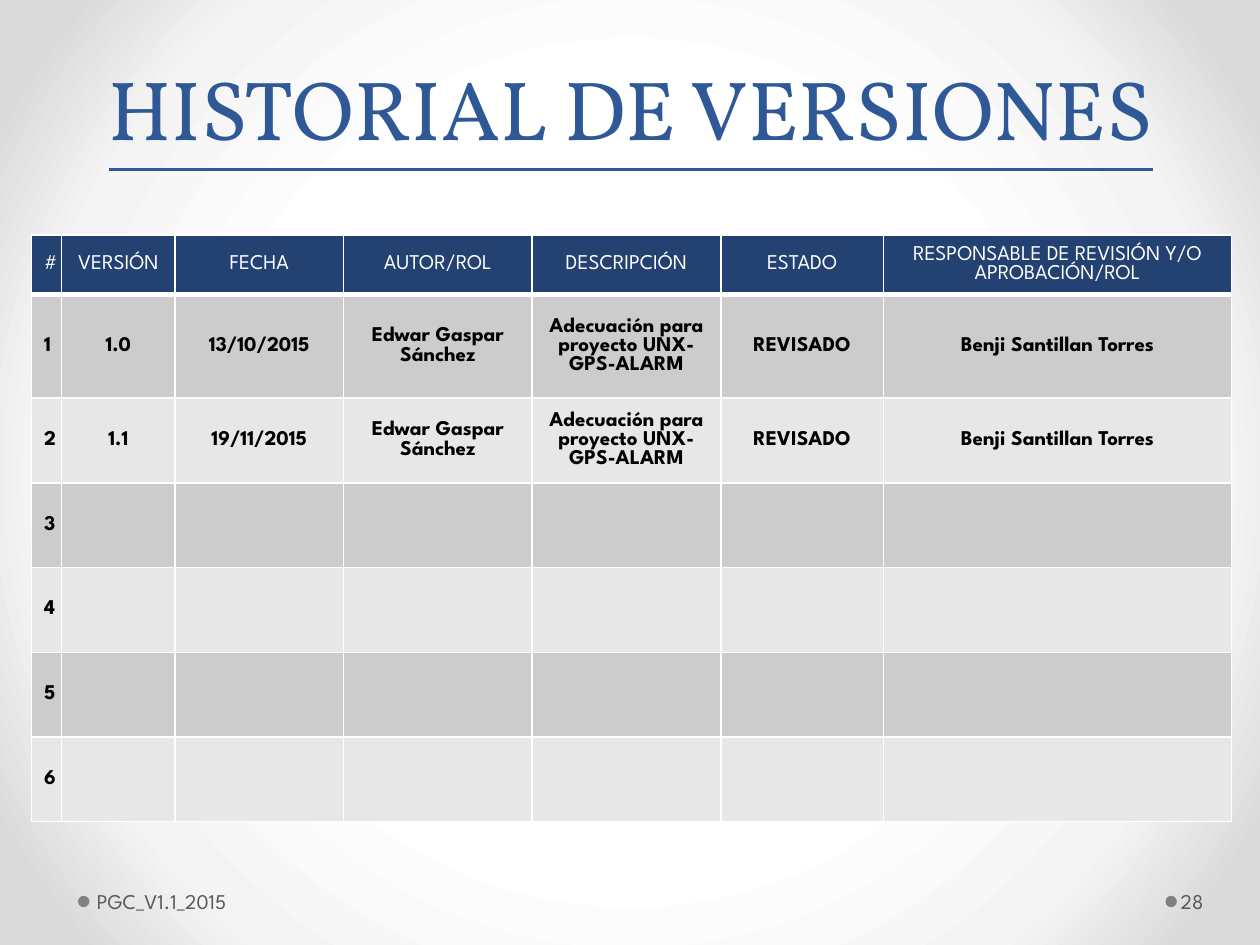
from dataclasses import dataclass

import lxml.etree
import pptx
import pptx.dml.color
import pptx.enum.shapes
import pptx.enum.text
import pptx.oxml
import pptx.oxml.ns
import pptx.util

Pt = pptx.util.Pt
ALIGN = pptx.enum.text.PP_ALIGN
MIDDLE = pptx.enum.text.MSO_ANCHOR.MIDDLE


@dataclass(frozen=True)
class Theme:
    title_font: str = "Vollkorn"
    body_font: str = "League Spartan"
    title_size: float = 48
    body_size: float = 12
    title: str = "2F5897"
    header: str = "234271"
    bands: tuple = ("CCCCCC", "E7E7E7")
    white: str = "FFFFFF"
    black: str = "000000"
    footer: str = "595959"
    dot: str = "808080"
    background: tuple = ((50, "FFFFFF"), (76, "F4F4F4"), (92, "DADADA"))


THEME = Theme()

HEADERS = ["#", "VERSIÓN", "FECHA", "AUTOR/ROL", "DESCRIPCIÓN", "ESTADO",
           "RESPONSABLE DE REVISIÓN Y/O APROBACIÓN/ROL"]
VERSIONS = [("1.0", "13/10/2015"), ("1.1", "19/11/2015")]
AUTHOR = "Edwar Gaspar Sánchez"
DESCRIPTION = "Adecuación para proyecto UNX-GPS-ALARM"
STATUS = "REVISADO"
REVIEWER = "Benji Santillan Torres"
ENTRY_COUNT = 6

COLUMN_WIDTHS = [16.9, 64.8, 96.3, 107.8, 107.8, 93, 199]
ROW_HEIGHTS = [34.2, 59.2] + [48.4] * (ENTRY_COUNT - 1)


def rgb(color):
    return pptx.dml.color.RGBColor.from_string(color)


def format_paragraph(paragraph, color, font=THEME.body_font, size=THEME.body_size,
                     bold=False, align=ALIGN.LEFT):
    paragraph.alignment = align
    paragraph.font.name = font
    paragraph.font.size = Pt(size)
    paragraph.font.bold = bold
    paragraph.font.color.rgb = rgb(color)


def set_background(slide):
    """Radial gradient, light in the middle."""
    slide.background.fill.solid()
    properties = slide.element.find(".//" + pptx.oxml.ns.qn("p:bgPr"))
    stops = "".join(
        f'<a:gs pos="{position * 1000}"><a:srgbClr val="{color}"/></a:gs>'
        for position, color in THEME.background)
    gradient = pptx.oxml.parse_xml(
        f'<a:gradFill {pptx.oxml.ns.nsdecls("a")} rotWithShape="1">'
        f'<a:gsLst>{stops}</a:gsLst><a:path path="circle">'
        '<a:fillToRect l="50000" t="50000" r="50000" b="50000"/>'
        '</a:path></a:gradFill>')
    properties.replace(properties[0], gradient)


def add_dot(slide, left):
    dot = slide.shapes.add_shape(pptx.enum.shapes.MSO_SHAPE.OVAL,
                                 Pt(left), Pt(511.9), Pt(6.5), Pt(6.5))
    dot.shadow.inherit = False
    dot.fill.solid()
    dot.fill.fore_color.rgb = rgb(THEME.dot)
    dot.line.fill.background()


def add_footer_text(slide, text, left, width, margin_left, margin_right):
    box = slide.shapes.add_textbox(Pt(left), Pt(500.4), Pt(width), Pt(28.8))
    frame = box.text_frame
    frame.word_wrap = True
    frame.vertical_anchor = MIDDLE
    frame.margin_left = Pt(margin_left)
    frame.margin_right = Pt(margin_right)
    frame.text = text
    format_paragraph(frame.paragraphs[0], THEME.footer)


def set_borders(cell, bottom_width):
    properties = cell._tc.get_or_add_tcPr()
    widths = {"lnL": 1, "lnR": 1, "lnT": 1, "lnB": bottom_width}
    for index, (side, width) in enumerate(widths.items()):
        properties.insert(index, pptx.oxml.parse_xml(
            f'<a:{side} {pptx.oxml.ns.nsdecls("a")} w="{Pt(width)}"><a:solidFill>'
            f'<a:srgbClr val="{THEME.white}"/></a:solidFill></a:{side}>'))


def fill_cell(cell, text, is_header, fill):
    cell.fill.solid()
    cell.fill.fore_color.rgb = rgb(fill)
    cell.vertical_anchor = MIDDLE
    cell.text = text
    paragraph = cell.text_frame.paragraphs[0]
    format_paragraph(paragraph, THEME.white if is_header else THEME.black,
                     bold=not is_header, align=ALIGN.CENTER)
    if not is_header:
        paragraph.space_before = Pt(2.4)
    set_borders(cell, 3 if is_header else 1)


def table_rows():
    rows = [HEADERS]
    for number in range(1, ENTRY_COUNT + 1):
        if number <= len(VERSIONS):
            details = [*VERSIONS[number - 1], AUTHOR, DESCRIPTION, STATUS, REVIEWER]
        else:
            details = [""] * (len(HEADERS) - 1)
        rows.append([str(number), *details])
    return rows


def add_history_table(slide):
    rows = table_rows()
    table = slide.shapes.add_table(
        len(rows), len(HEADERS), Pt(18), Pt(134.2),
        Pt(sum(COLUMN_WIDTHS)), Pt(sum(ROW_HEIGHTS))).table
    for column, width in zip(table.columns, COLUMN_WIDTHS):
        column.width = Pt(width)
    for row, height in zip(table.rows, ROW_HEIGHTS):
        row.height = Pt(height)
    for row_index, texts in enumerate(rows):
        is_header = row_index == 0
        fill = THEME.header if is_header else THEME.bands[(row_index - 1) % 2]
        for column_index, text in enumerate(texts):
            fill_cell(table.cell(row_index, column_index), text, is_header, fill)


def set_title(slide, text):
    title = slide.shapes.title
    title.left, title.top, title.width, title.height = Pt(20.2), Pt(13.7), Pt(680.4), Pt(79.9)
    frame = title.text_frame
    frame.auto_size = pptx.enum.text.MSO_AUTO_SIZE.NONE
    frame.vertical_anchor = pptx.enum.text.MSO_ANCHOR.BOTTOM
    frame.text = text
    paragraph = frame.paragraphs[0]
    format_paragraph(paragraph, THEME.title, THEME.title_font, THEME.title_size,
                     align=ALIGN.CENTER)
    paragraph.font.underline = True
    # Underline is read from the run when drawn
    paragraph.runs[0].font.underline = True


def main():
    presentation = pptx.Presentation()
    presentation.slide_width, presentation.slide_height = Pt(720), Pt(540)
    slide = presentation.slides.add_slide(presentation.slide_layouts[5])

    # Background and title
    set_background(slide)
    set_title(slide, "HISTORIAL DE VERSIONES")

    # Version history
    add_history_table(slide)

    # Footer and slide number
    for left in (44.6, 666):
        add_dot(slide, left)
    add_footer_text(slide, "PGC_V1.1_2015", 51.8, 285.1, 3.6, 7.2)
    add_footer_text(slide, "28", 672.5, 43.9, 2.2, 3.6)

    presentation.save("out.pptx")


if __name__ == "__main__":
    main()
